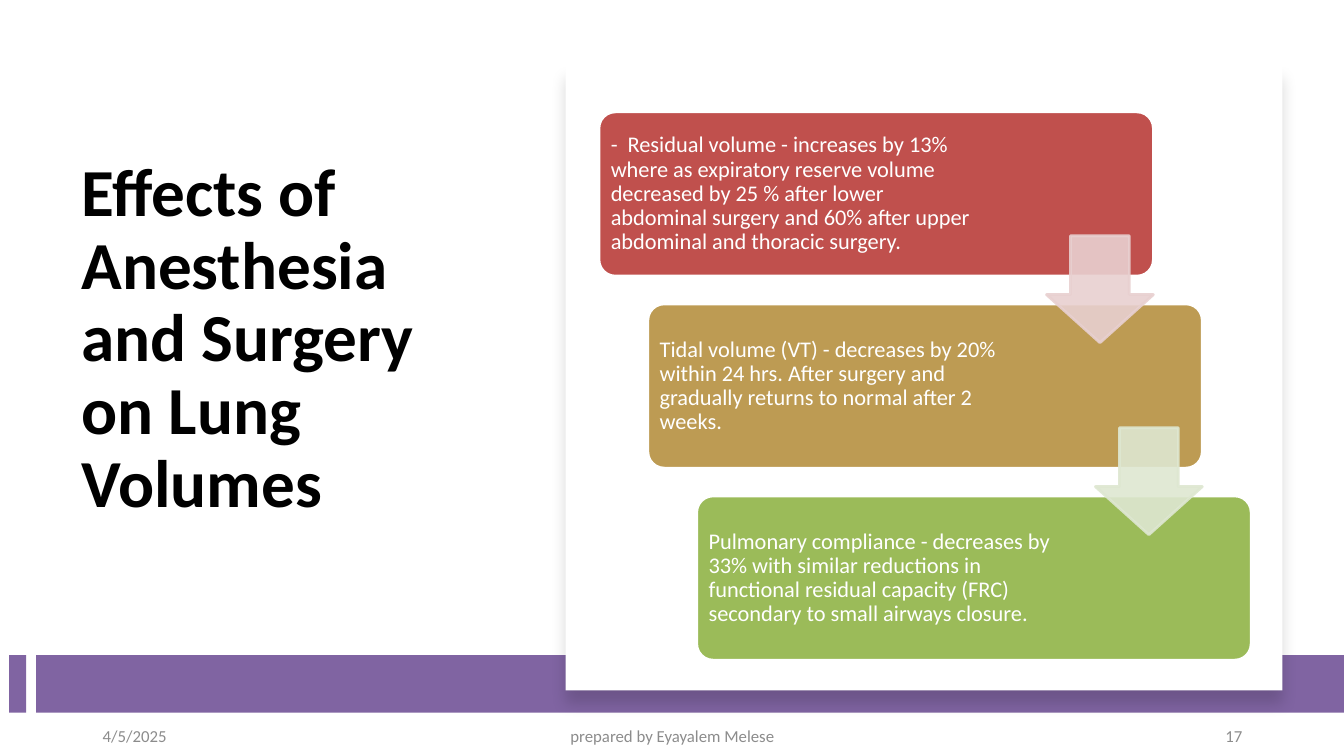
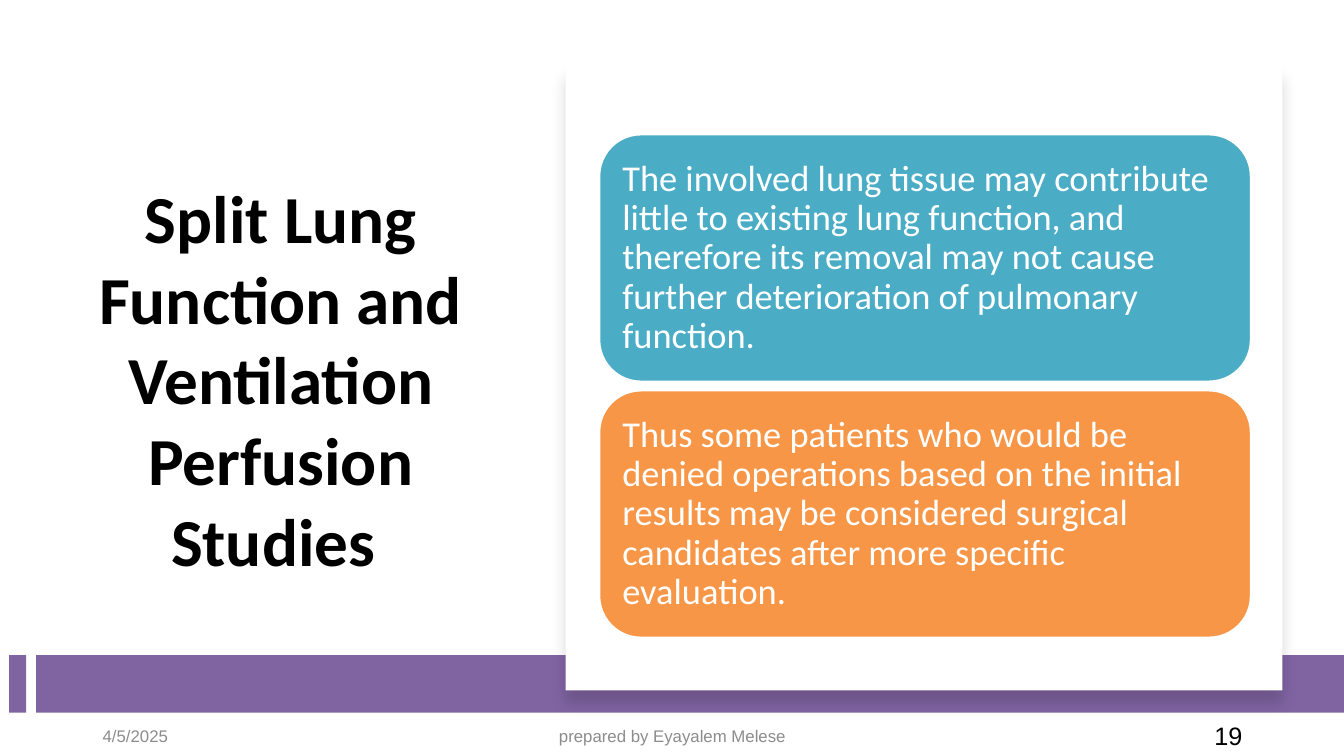
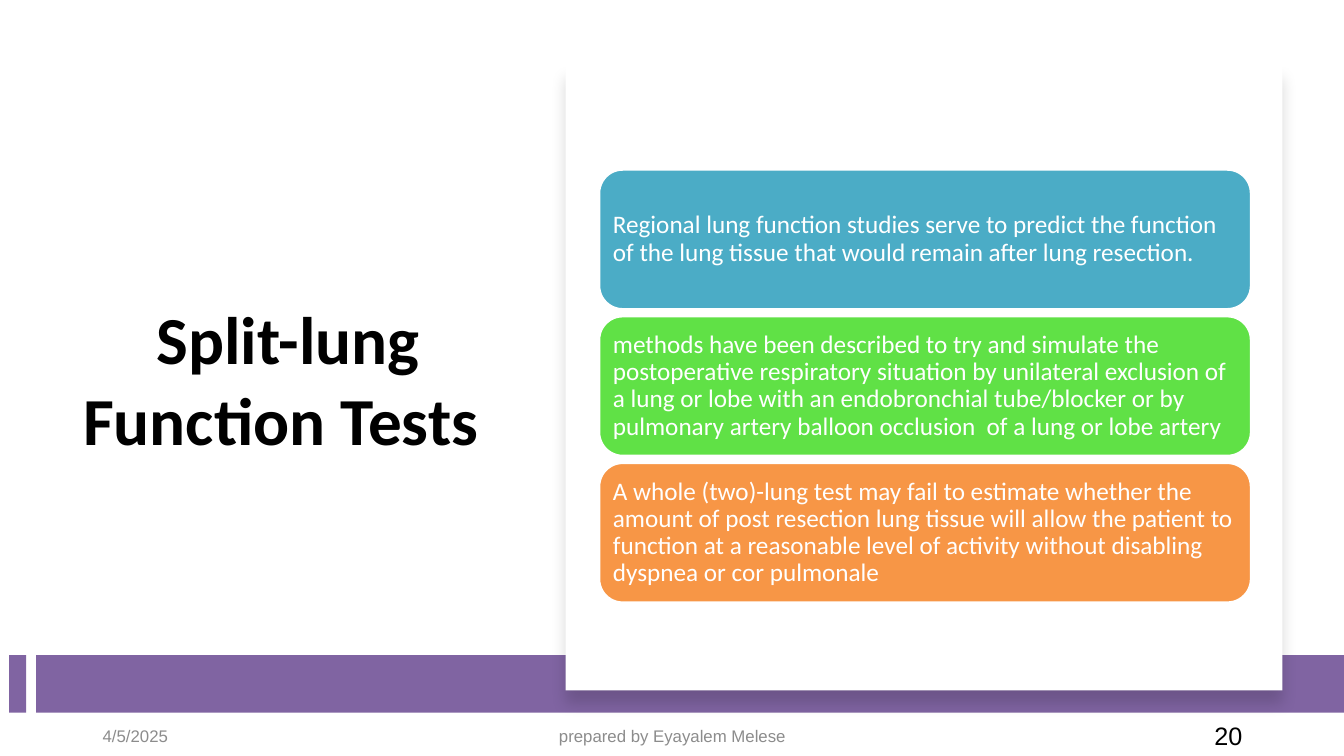
from lxml import etree
from pptx import Presentation
from pptx.dml.color import RGBColor
from pptx.enum.shapes import MSO_SHAPE
from pptx.enum.text import MSO_ANCHOR, PP_ALIGN
from pptx.oxml.ns import qn
from pptx.util import Inches, Pt

PURPLE, RED, GOLD, OLIVE = "8064A2", "C0504D", "BD9B53", "9BBB59"
TEAL, GREEN, ORANGE = "4BACC6", "60E146", "F79646"
WHITE, BLACK, GREY = "FFFFFF", "000000", "8C8C8C"
TITLE_BOX = (0.71, 1.2, 4.15, 5.1)
PANEL_BOX = (5.61, 0.64, 7.11, 6.21)
CARDS_LEFT, CARDS_WIDTH = 5.94, 6.47


def rgb(value):
    return RGBColor.from_string(value)


def set_alpha(fill_parent, percent):
    for color in fill_parent.iter(qn("a:srgbClr")):
        etree.SubElement(color, qn("a:alpha"), val=str(percent * 1000))


def add_panel_shadow(shape):
    effects = shape._element.spPr.find(qn("a:effectLst"))
    shadow = etree.SubElement(effects, qn("a:outerShdw"), blurRad=str(Pt(11)),
                              dist=str(Pt(10)), dir="5400000", rotWithShape="0")
    color = etree.SubElement(shadow, qn("a:srgbClr"), val=BLACK)
    etree.SubElement(color, qn("a:alpha"), val="15000")


def add_block(s, kind, box, fill, line=None, adjust=()):
    sp = s.shapes.add_shape(kind, *map(Inches, box))
    sp.shadow.inherit = False
    sp.fill.solid()
    sp.fill.fore_color.rgb = rgb(fill)
    if line:
        sp.line.color.rgb = rgb(line)
        sp.line.width = Pt(2)
    else:
        sp.line.fill.background()
    for i, value in enumerate(adjust):
        sp.adjustments[i] = value
    return sp


def write(sp, text, size, color, font="Calibri", bold=False,
          align=PP_ALIGN.LEFT, spacing=None):
    tf = sp.text_frame
    tf.word_wrap = True
    tf.vertical_anchor = MSO_ANCHOR.MIDDLE
    p = tf.paragraphs[0]
    p.alignment = align
    if spacing:
        p.line_spacing = spacing
    for i, line in enumerate(text.split("\n")):
        if i:
            p.add_line_break()
        r = p.add_run()
        r.text = line
        r.font.name = font
        r.font.size = Pt(size)
        r.font.bold = bold
        r.font.color.rgb = rgb(color)
    return tf


def add_text(s, box, *args, **kwargs):
    return write(s.shapes.add_textbox(*map(Inches, box)), *args, **kwargs)


def add_footer(s, number, font, number_size, number_color):
    top, height = 7.1, 0.4
    add_text(s, (0.92, top, 3, height), "4/5/2025", 12, GREY, font)
    add_text(s, (4.42, top, 4.5, height), "prepared by Eyayalem Melese", 12, GREY,
             font, align=PP_ALIGN.CENTER)
    add_text(s, (9.42, top, 3, height), number, number_size, number_color,
             font, align=PP_ALIGN.RIGHT)


def add_frame(prs, title, number, font="Arial", number_size=18, number_color=BLACK,
              align=PP_ALIGN.CENTER, spacing=None, raise_title=0):
    s = prs.slides.add_slide(prs.slide_layouts[6])
    tf = add_text(s, TITLE_BOX, title, 48, BLACK, bold=True, align=align, spacing=spacing)
    tf.margin_bottom = Inches(0.05 + raise_title)
    for left, width in ((0.09, 0.17), (0.36, 12.97)):
        add_block(s, MSO_SHAPE.RECTANGLE, (left, 6.5, width, 0.57), PURPLE)
    add_panel_shadow(add_block(s, MSO_SHAPE.RECTANGLE, PANEL_BOX, WHITE))
    add_footer(s, number, font, number_size, number_color)
    return s


def add_cards(s, box, card_size, cards, text_size, inset, radius=0.17, text_room=0):
    left, top, width, height = box
    card_w, card_h = card_size
    gaps = len(cards) - 1
    step_x, step_y = (width - card_w) / gaps, (height - card_h) / gaps
    corners = [(left + i * step_x, top + i * step_y) for i in range(len(cards))]
    for (x, y), (fill, text) in zip(corners, cards):
        sp = add_block(s, MSO_SHAPE.ROUNDED_RECTANGLE, (x, y, card_w, card_h),
                       fill, WHITE, (radius,))
        tf = write(sp, text, text_size, WHITE, spacing=0.9)
        tf.margin_left = tf.margin_top = tf.margin_bottom = Inches(inset)
        tf.margin_right = Inches(inset + text_room)
    return corners


def add_step_arrows(s, corners, colors):
    for (x, y), color in zip(corners, colors):
        sp = add_block(s, MSO_SHAPE.DOWN_ARROW, (x + 4.44, y + 1.23, 1.06, 1.06),
                       color, color, (0.55, 0.45))
        set_alpha(sp._element.spPr, 90)


def build_volumes(prs):
    s = add_frame(prs, "Effects of Anesthesia and Surgery on Lung Volumes", "17",
                  "Calibri", 12, GREY, PP_ALIGN.LEFT, 0.9, 0.75)
    corners = add_cards(s, (CARDS_LEFT, 1.11, CARDS_WIDTH, 5.44), (5.5, 1.63), [
        (RED, "-  Residual volume - increases by 13% where as expiratory reserve volume  "
              "decreased by 25 % after lower abdominal surgery and 60% after upper  "
              "abdominal and thoracic surgery."),
        (GOLD, "Tidal volume (VT) - decreases by 20% within 24 hrs. After surgery and "
               "gradually returns to normal after 2 weeks."),
        (OLIVE, "Pulmonary compliance - decreases by 33% with similar reductions in  "
                "functional residual capacity (FRC) secondary to small airways closure."),
    ], 16, 0.07, 0.1, 1.57)
    add_step_arrows(s, corners, ("E8D0D0", "DEE7D1"))


def build_perfusion(prs):
    s = add_frame(prs, "Split Lung Function and Ventilation Perfusion Studies ", "19")
    add_cards(s, (CARDS_LEFT, 1.33, CARDS_WIDTH, 5), (CARDS_WIDTH, 2.46), [
        (TEAL, "The involved lung tissue may contribute\nlittle to existing lung function, "
               "and therefore its removal may not cause further deterioration of "
               "pulmonary function."),
        (ORANGE, "Thus some patients who would be denied operations based on the initial "
                 "results may be considered surgical candidates after more specific "
                 "evaluation."),
    ], 26, 0.11)


def build_split_tests(prs):
    s = add_frame(prs, " Split-lung Function Tests", "20")
    add_cards(s, (CARDS_LEFT, 1.68, CARDS_WIDTH, 4.3), (CARDS_WIDTH, 1.39), [
        (TEAL, "Regional lung function studies serve to predict the function of the lung "
               "tissue that would remain after lung resection."),
        (GREEN, "methods have been described to try and simulate the postoperative "
                "respiratory situation by unilateral exclusion of a lung or lobe with an "
                "endobronchial tube/blocker or by pulmonary artery balloon occlusion  of a "
                "lung or lobe artery"),
        (ORANGE, "A whole (two)-lung test may fail to estimate whether the amount of post "
                 "resection lung tissue will allow the patient to function at a reasonable "
                 "level of activity without disabling dyspnea or cor pulmonale"),
    ], 18, 0.07)


def main():
    prs = Presentation()
    prs.slide_width, prs.slide_height = Inches(13.33), Inches(7.5)
    build_volumes(prs)
    build_perfusion(prs)
    build_split_tests(prs)
    prs.save("out.pptx")


if __name__ == "__main__":
    main()
